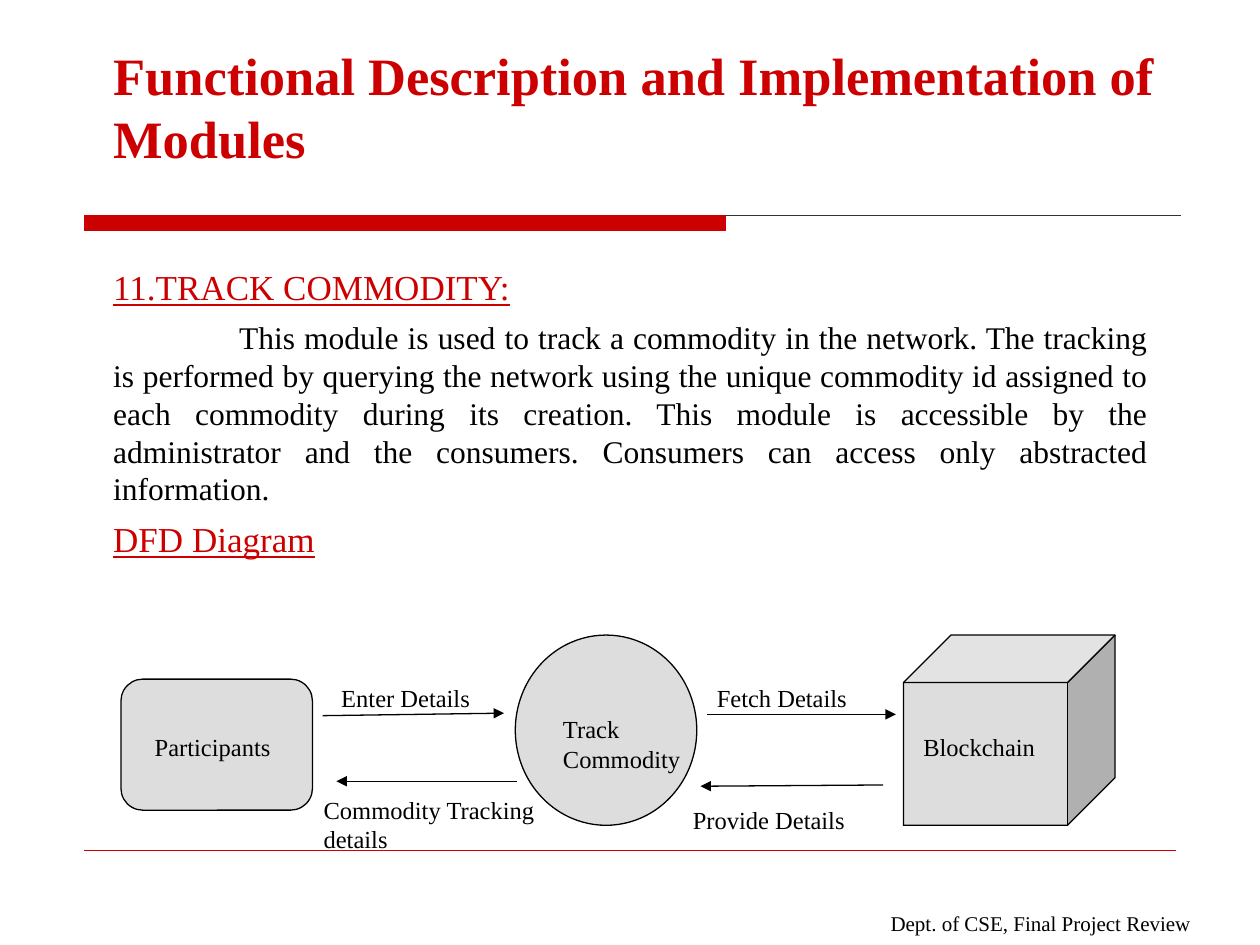
import pptx
import pptx.util
import pptx.dml.color
import pptx.enum.shapes
import pptx.enum.text
import pptx.oxml.ns
from lxml import etree

Inches = pptx.util.Inches
RGBColor = pptx.dml.color.RGBColor
MSO_SHAPE = pptx.enum.shapes.MSO_SHAPE
ALIGN = pptx.enum.text.PP_ALIGN
ANCHOR = pptx.enum.text.MSO_ANCHOR
qn = pptx.oxml.ns.qn

RED = RGBColor(0xCC, 0x00, 0x00)
BLACK = RGBColor(0x00, 0x00, 0x00)
DARK = RGBColor(0x33, 0x33, 0x33)
GREY = RGBColor(0xDD, 0xDD, 0xDD)

FONT = "Times New Roman"
TITLE = {"size": pptx.util.Pt(30), "bold": True}
HEADING = {"size": pptx.util.Pt(20), "underline": True}
BODY = {"size": pptx.util.Pt(18)}
LABEL = {"size": pptx.util.Pt(14)}
FOOTER = {"size": pptx.util.Pt(12)}


def add_paragraph(p, text, font, color, **layout):
    for name, value in layout.items():
        setattr(p, name, value)
    r = p.add_run()
    r.text = text
    for name, value in {"name": FONT, **font}.items():
        setattr(r.font, name, value)
    r.font.color.rgb = color


def add_text_frame(s, left, top, width, height, inset=0.1, anchor=ANCHOR.TOP):
    sp = s.shapes.add_textbox(Inches(left), Inches(top), Inches(width), Inches(height))
    tf = sp.text_frame
    frame = {
        "word_wrap": True,
        "vertical_anchor": anchor,
        "margin_left": Inches(0.1),
        "margin_right": Inches(0.1),
        "margin_top": Inches(inset),
        "margin_bottom": Inches(inset),
    }
    for name, value in frame.items():
        setattr(tf, name, value)
    return tf


def add_line(s, x1, y1, x2, y2, color, arrow=False):
    line = s.shapes.add_connector(
        pptx.enum.shapes.MSO_CONNECTOR.STRAIGHT,
        Inches(x1), Inches(y1), Inches(x2), Inches(y2),
    )
    line.line.color.rgb = color
    line.line.width = pptx.util.Pt(0.75)
    if arrow:
        etree.SubElement(line.line._get_or_add_ln(), qn("a:tailEnd"), type="triangle")
    etree.SubElement(line._element.spPr, qn("a:effectLst"))


def add_outlined_shape(s, kind, left, top, width, height, fill, line):
    sp = s.shapes.add_shape(kind, Inches(left), Inches(top), Inches(width), Inches(height))
    sp.shadow.inherit = False
    sp.fill.solid()
    sp.fill.fore_color.rgb = fill
    sp.line.color.rgb = line
    sp.line.width = pptx.util.Pt(0.75)


def add_rules(s, left, top, width, height):
    add_line(s, left, top, left + width, top, DARK)
    add_outlined_shape(s, MSO_SHAPE.RECTANGLE, left, top, 5.09, 0.12, RED, RED)
    add_line(s, left, top + height, left + 8.66, top + height, RED)


def add_title(s, left, top, width, height):
    tf = add_text_frame(s, left, top, width, height, 0.05, ANCHOR.BOTTOM)
    add_paragraph(tf.paragraphs[0], "Functional Description and Implementation of Modules", TITLE, RED)


def add_body(s, left, top, width, height):
    tf = add_text_frame(s, left, top, width, height, 0.05)
    description = (
        "This module is used to track a commodity in the network. The tracking is performed "
        "by querying the network using the unique commodity id assigned to each commodity "
        "during its creation. This module is accessible by the administrator and the "
        "consumers. Consumers can access only abstracted information."
    )
    layout = {"alignment": ALIGN.JUSTIFY, "space_before": pptx.util.Pt(6)}
    add_paragraph(tf.paragraphs[0], "11.TRACK COMMODITY:", HEADING, RED, **layout)
    p = tf.add_paragraph()
    add_paragraph(p, description, BODY, BLACK, **layout)
    p._p.get_or_add_pPr().set("indent", str(Inches(1)))
    add_paragraph(tf.add_paragraph(), "DFD Diagram", HEADING, RED, **layout)


def add_diagram(s, left, top):
    nodes = [
        (MSO_SHAPE.ROUNDED_RECTANGLE, 0, 0.35, 1.52, 1.04),
        (MSO_SHAPE.OVAL, 3.13, 0, 1.44, 1.51),
        (MSO_SHAPE.CUBE, 6.21, 0, 1.68, 1.51),
    ]
    flows = [
        (1.6, 0.64, 3.04, 0.62),
        (4.65, 0.63, 6.15, 0.63),
        (6.05, 1.19, 4.6, 1.2),
        (3.14, 1.16, 1.71, 1.16),
    ]
    labels = [
        ("Participants", 0.17, 0.67, 1.17, 0.39),
        ("Track Commodity", 3.41, 0.53, 1.27, 0.46),
        ("Enter Details", 1.65, 0.28, 1.52, 0.27),
        ("Fetch Details", 4.63, 0.28, 1.52, 0.27),
        ("Blockchain", 6.27, 0.67, 1.1, 0.52),
        ("Provide Details", 4.44, 1.25, 1.73, 0.22),
        ("Commodity Tracking details", 1.51, 1.17, 2.03, 0.27),
    ]
    for kind, x, y, width, height in nodes:
        add_outlined_shape(s, kind, left + x, top + y, width, height, GREY, BLACK)
    for x1, y1, x2, y2 in flows:
        add_line(s, left + x1, top + y1, left + x2, top + y2, BLACK, arrow=True)
    for text, x, y, width, height in labels:
        tf = add_text_frame(s, left + x, top + y, width, height)
        add_paragraph(tf.paragraphs[0], text, LABEL, BLACK)


def add_footer(s, left, top, width, height):
    tf = add_text_frame(s, left, top, width, height)
    add_paragraph(tf.paragraphs[0], "Dept. of CSE, Final Project Review", FOOTER, BLACK,
                  alignment=ALIGN.CENTER)


def main():
    prs = pptx.Presentation()
    prs.slide_width = Inches(10)
    prs.slide_height = Inches(7.5)
    s = prs.slides.add_slide(prs.slide_layouts[6])
    add_rules(s, 0.67, 1.71, 8.7, 5.04)
    add_title(s, 0.8, 0.61, 8.89, 0.78)
    add_body(s, 0.8, 2.06, 8.41, 3.08)
    add_footer(s, 6.52, 7.13, 3.48, 0.44)
    add_diagram(s, 0.96, 5.04)
    prs.save("out.pptx")


if __name__ == "__main__":
    main()
